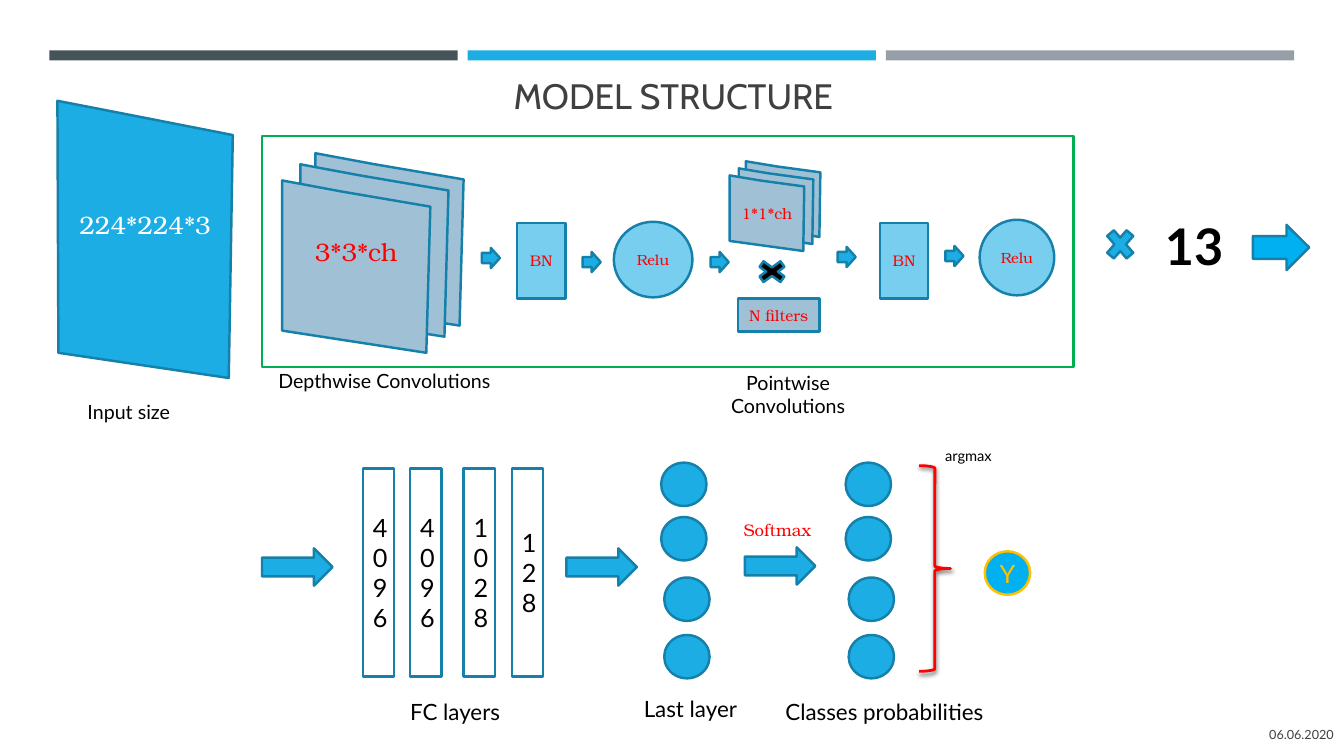
from lxml.etree import SubElement
from pptx import Presentation
from pptx.dml.color import RGBColor
from pptx.enum.shapes import MSO_SHAPE as Preset
from pptx.enum.text import MSO_ANCHOR as Anchor, PP_ALIGN as Align
from pptx.oxml.ns import qn
from pptx.util import Cm, Pt

THEME = {
    "slate": "465359", "gray": "969FA7", "blue": "1CADE4", "sky": "00B0F0",
    "pale": "77CEEF", "sheet": "A0C1D5", "edge": "1580A9", "green": "00B050",
    "red": "FF0000", "gold": "FFC000", "ink": "000000", "title": "404040",
    "white": "FFFFFF",
    "body": "Lato", "serif": "TeX Gyre Bonum", "heading": "Cabin",
    "stroke": 1.75, "brace": 2,
    "large": 18, "block": 11, "relu": 10.5,
}

# Positions and sizes below are in inches: left, top, width, height
HEADER_BARS = [("slate", 0.49), ("blue", 4.64), ("gray", 8.79)]

# text, box, size, font, colour, alignment, anchor, bold
LABELS = [
    ("MODEL STRUCTURE", (0.65, 0.64, 12.06, 0.57), 25.2, "heading", "title", "CENTER", "BOTTOM", False),
    ("06.06.2020", (10.22, 7.09, 3.11, 0.4), 9, "body", "title", "RIGHT", "MIDDLE", False),
    ("Input size", (0.77, 3.92, 1.14, 0.34), 14, "body", "ink", "LEFT", "TOP", False),
    ("Depthwise Convolutions", (2.55, 3.61, 2.53, 0.34), 14, "body", "ink", "CENTER", "TOP", False),
    ("Pointwise Convolutions", (6.75, 3.63, 2.14, 0.34), 14, "body", "ink", "CENTER", "TOP", False),
    ("13", (11.46, 2.08, 0.98, 0.71), 36, "body", "ink", "LEFT", "TOP", True),
    ("Softmax", (7.28, 5.11, 0.91, 0.61), 12, "serif", "red", "LEFT", "TOP", False),
    ("argmax", (9.28, 4.38, 0.66, 0.28), 10.5, "body", "ink", "LEFT", "TOP", False),
    ("FC layers", (3.07, 6.88, 2.89, 0.37), 16, "body", "ink", "CENTER", "TOP", False),
    ("Last layer", (6.21, 6.85, 1.28, 0.37), 16, "body", "ink", "CENTER", "TOP", False),
    ("Classes probabilities", (7.64, 6.88, 2.27, 0.37), 16, "body", "ink", "CENTER", "TOP", False),
]

# Outlines are offsets from the top left corner of a sheet
INPUT_OUTLINE = [(0, 0), (0.72, 0.14), (1.74, 0.34), (1.7, 2.75), (0.01, 2.5)]
DEPTH_OUTLINE = [(0, 0), (0.59, 0.11), (1.47, 0.26), (1.43, 1.71), (0, 1.49)]
POINT_OUTLINE = [(0, 0), (0.3, 0.05), (0.74, 0.11), (0.73, 0.75), (0, 0.65)]
# outline, corners from back to front, fill, front text, size, text colour, lift
SHEET_STACKS = [
    (INPUT_OUTLINE, [(0.57, 1)], "blue", "224*224*3", "large", "white", 0.3),
    (DEPTH_OUTLINE, [(3.13, 1.52), (2.98, 1.63), (2.8, 1.79)],
     "sheet", "3*3*ch", "large", "red", 0.3),
    (POINT_OUTLINE, [(7.4, 1.6), (7.33, 1.67), (7.24, 1.74)],
     "sheet", "1*1*ch", "block", "red", 0),
]

# text, preset, box, fill, line, size, font, text colour
BLOCKS = [
    ("BN", "RECTANGLE", (5.13, 2.21, 0.48, 0.75), "pale", "edge", "block", "serif", "red"),
    ("Relu", "OVAL", (6.09, 2.2, 0.78, 0.75), "pale", "edge", "relu", "serif", "red"),
    ("BN", "RECTANGLE", (8.73, 2.21, 0.48, 0.75), "pale", "edge", "block", "serif", "red"),
    ("Relu", "OVAL", (9.72, 2.18, 0.74, 0.75), "pale", "edge", "relu", "serif", "red"),
    ("N filters", "RECTANGLE", (7.32, 2.96, 0.81, 0.33), "sheet", "edge", "block", "serif", "red"),
    ("Y", "OVAL", (9.77, 5.47, 0.45, 0.43), "sky", "gold", "large", "body", "gold"),
]

SMALL_ARROWS = [(4.78, 2.46), (5.78, 2.5), (7.05, 2.5), (8.31, 2.45), (9.38, 2.44)]
LARGE_ARROWS = [(2.6, 5.44), (5.62, 5.44), (7.39, 5.43)]
CROSSES = [((10.93, 2.21, 0.37, 0.43), "blue"), ((7.46, 2.55, 0.4, 0.29), "ink")]
FC_COLUMNS = [("4096", 3.6), ("4096", 4.07), ("1028", 4.6), ("128", 5.08)]
NEURON_COLUMNS = [6.56, 8.39]
NEURON_ROWS = [(0, 4.59), (0, 5.13), (0.03, 5.73), (0.03, 6.3)]  # shift, top

presentation = Presentation()
presentation.slide_width, presentation.slide_height = Cm(33.87), Cm(19.05)
slide = presentation.slides.add_slide(presentation.slide_layouts[6])


def inches(value):
    return Cm(value * 2.54)


def color(name):
    return RGBColor.from_string(THEME[name])


def apply(target, values):
    for name, value in values.items():
        setattr(target, name, value)


def write(shape, text, size, font, ink, align="CENTER", anchor="MIDDLE",
          bold=False, side=0.0, lift=0.0):
    frame = shape.text_frame
    apply(frame, {
        "word_wrap": True, "vertical_anchor": Anchor[anchor],
        "margin_left": inches(side), "margin_right": inches(side),
        "margin_top": inches(0.05), "margin_bottom": inches(0.05 + lift),
    })
    paragraph = frame.paragraphs[0]
    paragraph.alignment = Align[align]
    run = paragraph.add_run()
    run.text = text
    apply(run.font, {"size": Pt(size), "name": THEME[font], "bold": bold})
    run.font.color.rgb = color(ink)


def paint(shape, fill=None, line="edge", width=THEME["stroke"]):
    shape.shadow.inherit = False
    if fill:
        shape.fill.solid()
        shape.fill.fore_color.rgb = color(fill)
    else:
        shape.fill.background()
    if line:
        shape.line.color.rgb = color(line)
        shape.line.width = Pt(width)
    else:
        shape.line.fill.background()
    return shape


def add_preset(preset, box, **style):
    shape = slide.shapes.add_shape(Preset[preset], *map(inches, box))
    return paint(shape, **style)


def add_sheet(outline, left, top, fill):
    points = [(inches(left + x), inches(top + y)) for x, y in outline]
    builder = slide.shapes.build_freeform(*points[0])
    builder.add_line_segments(points[1:], close=True)
    return paint(builder.convert_to_shape(), fill)


# Header bars
for fill, left in HEADER_BARS:
    add_preset("RECTANGLE", (left, 0.5, 4.05, 0.1), fill=fill, line=None)

# Repeated convolution unit
add_preset("RECTANGLE", (2.6, 1.35, 8.05, 2.29), line="green")
for outline, corners, fill, text, size, ink, lift in SHEET_STACKS:
    for left, top in corners:
        sheet = add_sheet(outline, left, top, fill)
    write(sheet, text, THEME[size], "serif", ink, lift=lift)
for text, preset, box, fill, line, size, font, ink in BLOCKS:
    block = add_preset(preset, box, fill=fill, line=line)
    write(block, text, THEME[size], font, ink)

# Arrows and multiplication signs
for corner in SMALL_ARROWS:
    add_preset("RIGHT_ARROW", (*corner, 0.18, 0.2), fill="blue")
for corner in LARGE_ARROWS:
    add_preset("RIGHT_ARROW", (*corner, 0.7, 0.37), fill="blue")
add_preset("RIGHT_ARROW", (12.43, 2.23, 0.56, 0.45), fill="sky")
for box, fill in CROSSES:
    add_preset("MATH_MULTIPLY", box, fill=fill)

# Fully connected layers: narrow columns stack the digits
for units, left in FC_COLUMNS:
    column = add_preset("RECTANGLE", (left, 4.65, 0.31, 2.06))
    write(column, units, THEME["large"], "body", "ink", side=0.1)

# Output neurons
for left in NEURON_COLUMNS:
    for shift, top in NEURON_ROWS:
        add_preset("OVAL", (left + shift, top, 0.45, 0.43), fill="blue")

# Brace with a soft shadow
brace = add_preset("RIGHT_BRACE", (9.12, 4.62, 0.31, 2.04),
                   line="red", width=THEME["brace"])
effects = brace.element.spPr.find(qn("a:effectLst"))
shadow = SubElement(effects, qn("a:outerShdw"), blurRad=str(Pt(3)),
                    dist=str(Pt(2)), dir="5400000", rotWithShape="0")
shade = SubElement(shadow, qn("a:srgbClr"), val=THEME["ink"])
SubElement(shade, qn("a:alpha"), val="55000")

# Labels
for text, box, size, font, ink, align, anchor, bold in LABELS:
    label = slide.shapes.add_textbox(*map(inches, box))
    write(label, text, size, font, ink, align, anchor, bold, side=0.1)

presentation.save("out.pptx")
